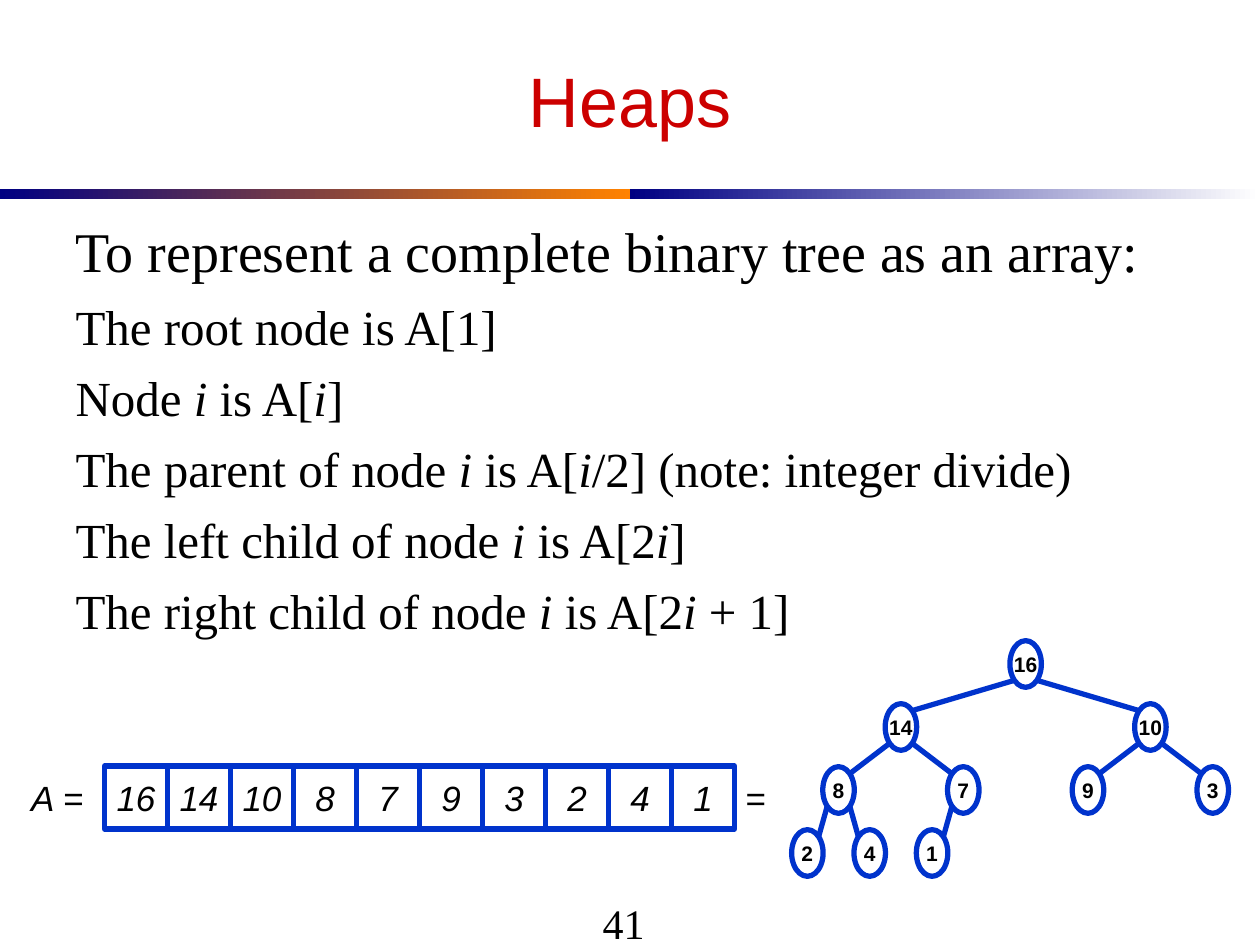
"""Build the slide on storing a heap as an array."""
from lxml.etree import SubElement
from pptx import Presentation
from pptx.dml.color import RGBColor
from pptx.enum.dml import MSO_FILL
from pptx.enum.shapes import MSO_CONNECTOR, MSO_SHAPE
from pptx.enum.text import MSO_ANCHOR, MSO_AUTO_SIZE, PP_ALIGN
from pptx.oxml.ns import qn
from pptx.util import Inches, Pt

COLORS = {
    "title": "CC0000", "text": "000000", "outline": "0033CC",
    "white": "FFFFFF", "navy": "000082", "orange": "FF8200",
}
HEAP = [16, 14, 10, 8, 7, 9, 3, 2, 4, 1]
BODY_LINES = [
    ["To represent a complete binary tree as an array:"],
    ["The root node is A[1]"],
    ["Node ", "i", " is A[", "i", "]"],
    ["The parent of node ", "i", " is A[", "i", "/2] (note: integer divide)"],
    ["The left child of node ", "i", " is A[2", "i", "]"],
    ["The right child of node ", "i", " is A[2", "i", " + 1]"],
]


def write(shape, text, size, font="Arial", color="text", bold=False, italic=False):
    """Put one centred, formatted run into a shape."""
    frame = shape.text_frame
    frame.word_wrap = False
    frame.auto_size = MSO_AUTO_SIZE.NONE
    frame.vertical_anchor = MSO_ANCHOR.MIDDLE
    paragraph = frame.paragraphs[0]
    paragraph.alignment = PP_ALIGN.CENTER
    run = paragraph.add_run()
    run.text = text
    run.font.name, run.font.size = font, Pt(size)
    run.font.bold, run.font.italic = bold, italic
    run.font.color.rgb = RGBColor.from_string(COLORS[color])


def add_box(kind, left, top, width, height):
    """Add a white preset shape with a blue outline."""
    shape = slide.shapes.add_shape(kind, Inches(left), Inches(top), Inches(width), Inches(height))
    shape.shadow.inherit = False
    shape.fill.solid()
    shape.fill.fore_color.rgb = RGBColor.from_string(COLORS["white"])
    shape.line.color.rgb = RGBColor.from_string(COLORS["outline"])
    shape.line.width = Pt(3)
    return shape


presentation = Presentation()
presentation.slide_width, presentation.slide_height = Inches(10), Inches(7.5)
slide = presentation.slides.add_slide(presentation.slide_layouts[1])

for left, start, end in [(0, "navy", "orange"), (5, "navy", "white")]:
    band = add_box(MSO_SHAPE.RECTANGLE, left, 1.5, 5, 0.08)
    band.line.fill.background()
    band.fill.gradient()
    band.fill.gradient_angle = 0
    for stop, position, color in zip(band.fill.gradient_stops, (0, 1), (start, end)):
        stop.position = position
        stop.color.rgb = RGBColor.from_string(COLORS[color])

title = slide.shapes.title
title.left, title.top, title.width, title.height = Inches(0.5), Inches(0.25), Inches(9), Inches(1.08)
write(title, "Heaps", 40, color="title")

body = slide.placeholders[1]
body.left, body.top, body.width, body.height = Inches(0.5), Inches(1.67), Inches(9.08), Inches(4.75)
body.text_frame.auto_size = MSO_AUTO_SIZE.NONE
for index, pieces in enumerate(BODY_LINES):
    paragraph = body.text_frame.paragraphs[0] if index == 0 else body.text_frame.add_paragraph()
    paragraph.level = min(index, 1)
    properties = paragraph._p.get_or_add_pPr()
    properties.set("marL", "0")
    properties.set("indent", "0")
    SubElement(properties, qn("a:buNone"))
    paragraph.space_before = Pt(7 if index else 0)
    for piece in pieces:
        run = paragraph.add_run()
        run.text = piece
        run.font.name = "Times New Roman"
        run.font.size = Pt(28 if index else 32)
        run.font.italic = piece == "i"
        run.font.color.rgb = RGBColor.from_string(COLORS["text"])

node_width, node_height, tree_width = 0.25, 0.37, 3.96
centers = []
for index, value in enumerate(HEAP, start=1):
    depth = index.bit_length() - 1
    slot = index - 2 ** depth
    x = 8.14 + ((slot + 0.5) / 2 ** depth - 0.5) * tree_width
    y = 5.27 + 0.5 * depth
    centers.append((x, y))
    node = add_box(MSO_SHAPE.OVAL, x - node_width / 2, y - node_height / 2, node_width, node_height)
    write(node, str(value), 12, bold=True)

for index in range(2, len(HEAP) + 1):
    parent_x, parent_y = centers[index // 2 - 1]
    child_x, child_y = centers[index - 1]
    side = 0.09 if index % 2 else -0.09
    edge = slide.shapes.add_connector(
        MSO_CONNECTOR.STRAIGHT, Inches(parent_x + side), Inches(parent_y + 0.13),
        Inches(child_x - side), Inches(child_y - 0.13))
    edge.line.color.rgb = RGBColor.from_string(COLORS["outline"])
    edge.line.width = Pt(3)
    SubElement(edge._element.spPr, qn("a:effectLst"))

for index, value in enumerate(HEAP):
    cell = add_box(MSO_SHAPE.RECTANGLE, 0.83 + 0.5 * index, 6.08, 0.5, 0.5)
    write(cell, str(value), 20, italic=True)

for text, left, top, width, height, size, font, italic in [
    ("A =", 0.08, 6.08, 0.75, 0.5, 20, "Arial", True),
    ("=", 5.83, 6.08, 0.33, 0.5, 20, "Arial", True),
    ("41", 0.5, 6.88, 8.9, 0.89, 24, "Times New Roman", False),
]:
    label = slide.shapes.add_textbox(Inches(left), Inches(top), Inches(width), Inches(height))
    write(label, text, size, font, italic=italic)

presentation.save("out.pptx")
